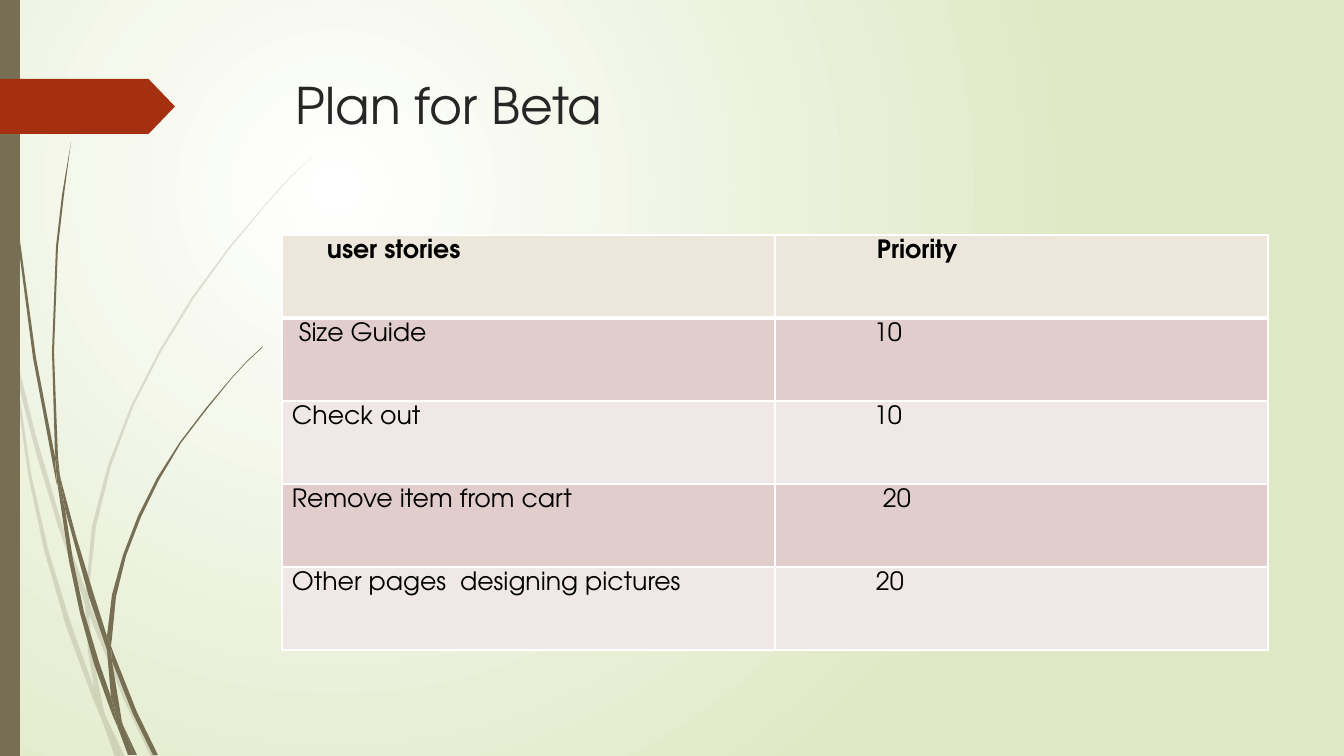
from lxml import etree
from pptx import Presentation
from pptx import util as u
from pptx.dml.color import RGBColor
from pptx.enum import shapes, text
from pptx.oxml import ns

EMU_PER_PIXEL = 914400 / 100.8
FONT = "TeX Gyre Adventor"
WHITE = RGBColor(0xFF, 0xFF, 0xFF)
BLACK = RGBColor(0x00, 0x00, 0x00)
CHARCOAL = RGBColor(0x26, 0x26, 0x26)
PALE_GREEN = RGBColor(0xDF, 0xE8, 0xC4)
OLIVE = RGBColor(0x76, 0x6F, 0x54)
RUST = RGBColor(0xA5, 0x30, 0x10)
SAND = RGBColor(0xED, 0xE6, 0xDB)
ROSE = RGBColor(0xE1, 0xCD, 0xCC)
PALE_ROSE = RGBColor(0xF0, 0xE8, 0xE7)

PALE_GRASS = [
    [(11, 353), (9, 325), (0, 284), (0, 301), (10, 347)],
    [(58, 526), (85, 604), (86, 591), (62, 524), (36, 436), (14, 348), (17, 379), (36, 453)],
    [(93, 612), (89, 601), (89, 615), (124, 700), (151, 757), (156, 757), (128, 698)],
    [(120, 757), (125, 757), (106, 717)],
    [(94, 688), (71, 624), (48, 549), (31, 473), (17, 379), (11, 353), (28, 474),
     (44, 550), (66, 626), (93, 699), (102, 720), (100, 713)],
    [(85, 604), (88, 651), (94, 688), (97, 698), (106, 717), (104, 712), (92, 651),
     (89, 615), (89, 613)],
    [(89, 589), (96, 526), (111, 466), (133, 407), (161, 352), (194, 298), (231, 247),
     (270, 200), (292, 176), (314, 155), (291, 176), (270, 199), (230, 246), (192, 297),
     (159, 351), (131, 406), (108, 465), (92, 526), (86, 589), (86, 591), (89, 601)],
    [(102, 720), (115, 757), (120, 757)],
    [(89, 613), (89, 615), (89, 601), (86, 591), (85, 604)],
    [(97, 698), (94, 688), (100, 713), (102, 720), (120, 757), (106, 717)],
]
DARK_GRASS = [
    [(7, 111), (17, 235), (33, 358), (56, 481), (57, 485), (55, 461), (55, 457),
     (36, 358), (19, 234), (8, 110), (5, 48), (4, 0), (3, 0), (4, 48)],
    [(89, 597), (107, 650), (107, 638), (107, 636), (94, 595), (76, 536), (60, 476), (65, 509)],
    [(114, 654), (111, 646), (112, 661), (133, 714), (153, 755), (158, 755), (137, 712)],
    [(111, 697), (99, 662), (84, 612), (73, 560), (65, 509), (57, 481), (69, 561),
     (80, 613), (94, 664), (112, 714), (118, 728), (117, 723)],
    [(60, 476), (58, 457), (54, 352), (58, 247), (64, 195), (71, 142), (62, 195),
     (56, 247), (52, 352), (55, 453)],
    [(134, 755), (137, 755), (123, 725)],
    [(57, 481), (65, 509), (60, 476), (55, 453), (55, 457)],
    [(112, 638), (116, 597), (126, 556), (141, 517), (159, 480), (181, 443), (207, 409),
     (233, 377), (247, 362), (263, 347), (262, 347), (247, 361), (233, 376), (206, 408),
     (180, 442), (157, 478), (138, 516), (123, 555), (112, 595), (107, 636), (111, 646)],
    [(118, 728), (128, 755), (132, 755)],
    [(107, 650), (111, 697), (117, 712), (123, 725), (122, 722), (112, 661), (110, 656)],
    [(107, 650), (110, 656), (112, 661), (111, 646), (107, 636)],
    [(117, 712), (111, 697), (117, 723), (118, 728), (131, 755), (134, 755), (123, 725)],
]
STORIES = [
    (("user stories", 45), ("Priority", 102)),
    (("Size Guide", 17), ("10", 99)),
    (("Check out", 10), ("10", 99)),
    (("Remove item from cart", 10), ("20", 108)),
    (("Other pages  designing pictures", 10), ("20", 101)),
]


def px(length):
    """Turn pixels into EMU."""
    return u.Emu(round(length * EMU_PER_PIXEL))


def set_background(slide):
    """Fill the slide with a radial gradient centred in its upper left quarter."""
    fill = slide.background.fill
    fill.gradient()
    for stop, position, color in zip(fill.gradient_stops, (0, 1), (WHITE, PALE_GREEN)):
        stop.position = position
        stop.color.rgb = color
    gradient = slide.background._cSld.find(".//" + ns.qn("a:gradFill"))
    gradient.remove(gradient.find(ns.qn("a:lin")))
    circle = etree.SubElement(gradient, ns.qn("a:path"), path="circle")
    etree.SubElement(circle, ns.qn("a:fillToRect"),
                     l="50000", t="50000", r="100000", b="100000")


def paint(shape, color, opacity=100):
    """Give a shape a plain fill without line or shadow."""
    shape.shadow.inherit = False
    shape.fill.solid()
    shape.fill.fore_color.rgb = color
    shape.line.fill.background()
    if opacity < 100:
        color_element = shape._element.spPr.find(".//" + ns.qn("a:srgbClr"))
        etree.SubElement(color_element, ns.qn("a:alpha"), val=str(opacity * 1000))


def add_blade(slide, outline, opacity):
    """Draw one piece of a grass blade."""
    builder = slide.shapes.build_freeform(*outline[0], scale=EMU_PER_PIXEL)
    builder.add_line_segments(outline[1:], close=True)
    paint(builder.convert_to_shape(), OLIVE, opacity)


def add_block(slide, kind, box, color):
    """Add a filled preset shape."""
    shape = slide.shapes.add_shape(kind, *map(px, box))
    paint(shape, color)
    return shape


def style_text(paragraph, size, color, bold=False):
    """Format every run of a paragraph."""
    for run in paragraph.runs:
        run.font.name = FONT
        run.font.size = u.Pt(size)
        run.font.bold = bold
        run.font.color.rgb = color


def add_title(slide, title):
    """Add the slide title."""
    text_frame = slide.shapes.add_textbox(*map(px, (286, 69, 983, 141))).text_frame
    text_frame.word_wrap = True
    text_frame.vertical_anchor = text.MSO_ANCHOR.TOP
    text_frame.text = title
    style_text(text_frame.paragraphs[0], 36, CHARCOAL)


def set_borders(cell, widths):
    """Draw white cell borders of the given widths in points."""
    properties = cell._tc.get_or_add_tcPr()
    for index, (side, width) in enumerate(widths.items()):
        line = etree.Element(ns.qn("a:ln" + side), w=str(u.Pt(width)))
        fill = etree.SubElement(line, ns.qn("a:solidFill"))
        etree.SubElement(fill, ns.qn("a:srgbClr"), val=str(WHITE))
        properties.insert(index, line)


def add_story_table(slide):
    """Add the table of user stories and priorities."""
    row_count, column_count = len(STORIES), len(STORIES[0])
    box = map(px, (282, 235, 493 * column_count, 83 * row_count))
    table = slide.shapes.add_table(row_count, column_count, *box).table
    for row, entries in enumerate(STORIES):
        header = row == 0
        color = SAND if header else (PALE_ROSE, ROSE)[row % 2]
        for column, (words, inset) in enumerate(entries):
            cell = table.cell(row, column)
            cell.text_frame.text = words
            style_text(cell.text_frame.paragraphs[0], 18, BLACK, header)
            cell.margin_left = px(inset)
            cell.margin_top = cell.margin_bottom = px(5)
            cell.fill.solid()
            cell.fill.fore_color.rgb = color
            set_borders(cell, {"L": 1, "R": 1, "T": 3 if row == 1 else 1,
                               "B": 3 if header else 1})


def main():
    """Build the slide and save it."""
    presentation = Presentation()
    presentation.slide_width, presentation.slide_height = px(1344), px(756)
    slide = presentation.slides.add_slide(presentation.slide_layouts[6])
    set_background(slide)
    for grass, opacity in ((PALE_GRASS, 20), (DARK_GRASS, 100)):
        for outline in grass:
            add_blade(slide, outline, opacity)
    add_block(slide, shapes.MSO_SHAPE.RECTANGLE, (0, 0, 20, 756), OLIVE)
    marker = add_block(slide, shapes.MSO_SHAPE.PENTAGON, (0, 79, 175, 55), RUST)
    marker.adjustments[0] = 0.48
    add_title(slide, "Plan for Beta")
    add_story_table(slide)
    presentation.save("out.pptx")


main()
